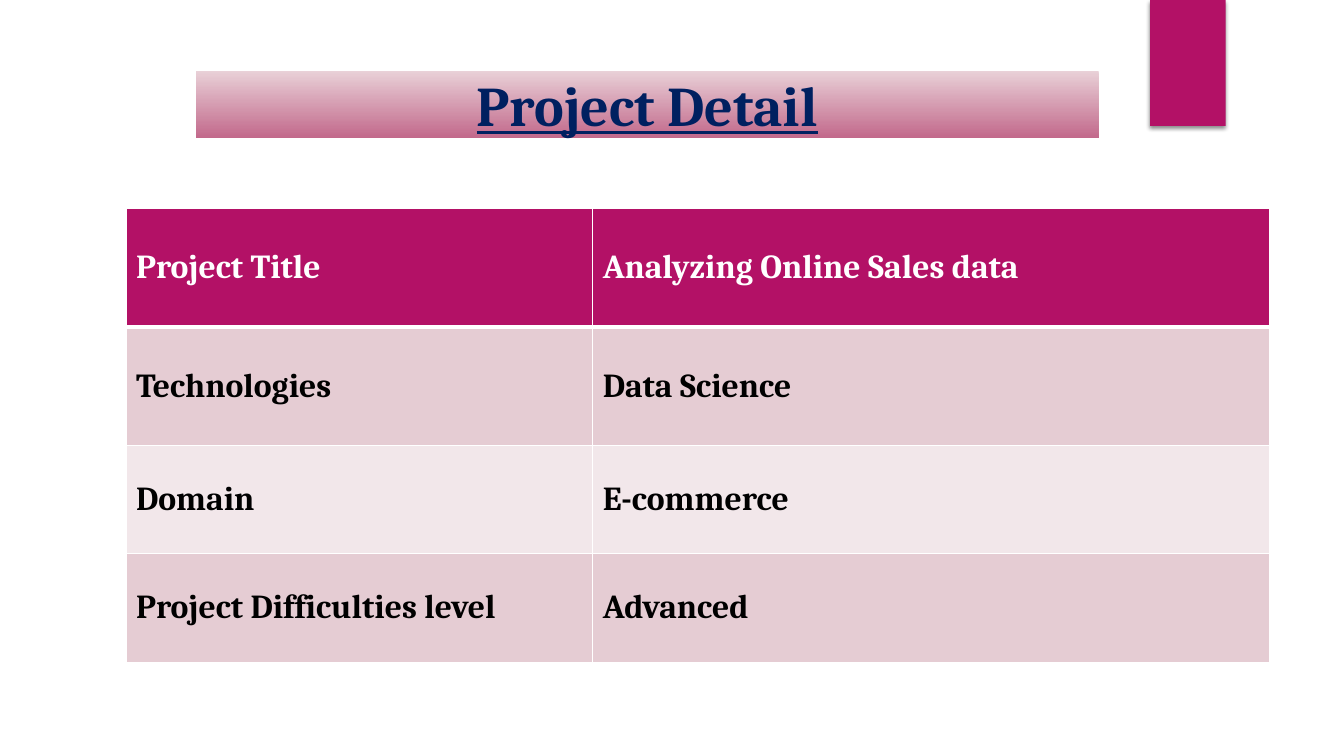
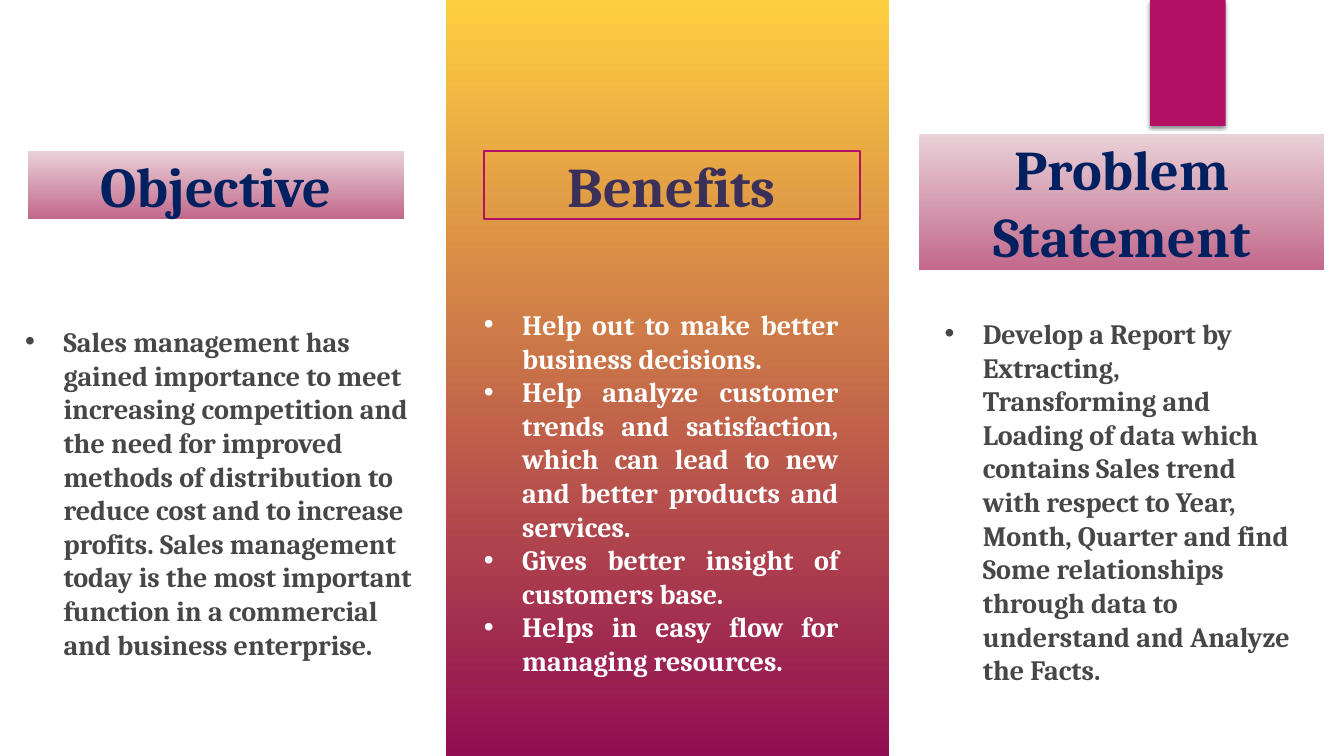
from dataclasses import dataclass
from itertools import product
from typing import Any, Optional

from lxml.etree import SubElement
from pptx import Presentation
from pptx.dml.color import RGBColor
from pptx.enum.shapes import MSO_SHAPE as Preset
from pptx.enum.text import MSO_ANCHOR as Anchor, PP_ALIGN as Align
from pptx.oxml.ns import qn
from pptx.util import Emu, Inches, Pt

MAGENTA = RGBColor(0xB3, 0x11, 0x66)
PLUM = RGBColor(0x90, 0x0E, 0x52)
GOLD = RGBColor(0xFE, 0xCF, 0x40)
BLUSH = RGBColor(0xE9, 0xD1, 0xD8)
ROSE = RGBColor(0xC2, 0x69, 0x8B)
ROW_DARK = RGBColor(0xE5, 0xCC, 0xD3)
ROW_LIGHT = RGBColor(0xF2, 0xE7, 0xEA)
NAVY = RGBColor(0x00, 0x20, 0x60)
INDIGO = RGBColor(0x3B, 0x30, 0x59)
GREY = RGBColor(0x47, 0x47, 0x47)
BLACK = RGBColor(0x00, 0x00, 0x00)
WHITE = RGBColor(0xFF, 0xFF, 0xFF)

SLIDE_WIDTH, SLIDE_HEIGHT = Inches(13.33), Inches(7.5)
COLUMNS, ROWS = 40, 30
BULLET_INDENT = Inches(0.38)

BASE_FONT = {"name": "Cambria", "bold": True}
HEADING_FONT = BASE_FONT | {"size": Pt(40)}
BODY_FONT = BASE_FONT | {"size": Pt(20)}
TABLE_FONT = BASE_FONT | {"size": Pt(24)}
FRAME_FORMAT = {
    "margin_left": 0, "margin_top": 0, "margin_right": 0, "margin_bottom": 0,
    "word_wrap": True, "vertical_anchor": Anchor.TOP,
}


@dataclass(frozen=True)
class Area:
    column: float
    row: float
    columns: float
    rows: float

    def box(self) -> tuple[Emu, Emu, Emu, Emu]:
        return across(self.column), down(self.row), across(self.columns), down(self.rows)


@dataclass(frozen=True)
class Heading:
    text: str
    area: Area
    color: RGBColor = NAVY
    underline: bool = False
    outlined: bool = False


@dataclass(frozen=True)
class BulletList:
    area: Area
    items: tuple[str, ...]
    color: RGBColor = GREY
    alignment: Align = Align.LEFT


TAB = Area(34.23, 0, 2.25, 5)
CENTER_PANEL = Area(13.26, 0, 13.2, 30)
DETAIL_HEADING = Heading("Project Detail", Area(5.82, 2.8, 26.88, 2.68), underline=True)
DETAIL_AREA = Area(3.75, 8.28, 34.05, 18)
DETAIL_COLUMNS = (13.89, 20.16)
DETAIL_ROWS = (4.7, 4.7, 4.3, 4.3)
DETAILS = (
    ("Project Title", "Analyzing Online Sales data"),
    ("Technologies", "Data Science"),
    ("Domain", "E-commerce"),
    ("Project Difficulties level", "Advanced"),
)
PANEL_HEADINGS = (
    Heading("Objective", Area(0.84, 6, 11.19, 2.68)),
    Heading("Benefits", Area(14.4, 6, 11.19, 2.68), INDIGO, outlined=True),
    Heading("Problem Statement", Area(27.36, 5.32, 12.06, 5.4)),
)
PANEL_LISTS = (
    BulletList(Area(0.75, 12.88, 11.61, 13.48), (
        "Sales management has gained importance to meet increasing competition and "
        "the need for improved methods of distribution to reduce cost and to increase "
        "profits. Sales management today is the most important function in a "
        "commercial and business enterprise.",
    )),
    BulletList(Area(14.4, 12.2, 10.56, 14.8), (
        "Help out to make better business decisions.",
        "Help analyze customer trends and satisfaction, which can lead to new and "
        "better products and services.",
        "Gives better insight of customers base.",
        "Helps in easy flow for managing resources.",
    ), WHITE, Align.JUSTIFY),
    BulletList(Area(28.11, 12.56, 10.56, 12.12), (
        "Develop a Report by Extracting, Transforming and Loading of data which "
        "contains Sales trend with respect to Year, Month, Quarter and find Some "
        "relationships through data to understand and Analyze the Facts.",
    )),
)


def across(columns: float) -> Emu:
    return Emu(round(SLIDE_WIDTH * columns / COLUMNS))


def down(rows: float) -> Emu:
    return Emu(round(SLIDE_HEIGHT * rows / ROWS))


def apply_format(target: Any, values: dict[str, Any]) -> None:
    for name, value in values.items():
        setattr(target, name, value)


def write(paragraph: Any, text: str, font: dict[str, Any], color: RGBColor) -> None:
    run = paragraph.add_run()
    run.text = text
    apply_format(run.font, font)
    run.font.color.rgb = color


def add_block(slide: Any, area: Area, color: Optional[RGBColor] = None) -> Any:
    shape = slide.shapes.add_shape(Preset.RECTANGLE, *area.box())
    shape.shadow.inherit = False
    shape.line.fill.background()
    if color is None:
        shape.fill.background()
    else:
        shape.fill.solid()
        shape.fill.fore_color.rgb = color
    return shape


def fill_downward(shape: Any, top: RGBColor, bottom: RGBColor) -> None:
    shape.fill.gradient()
    shape.fill.gradient_angle = 270
    for stop, position, color in zip(shape.fill.gradient_stops, (0, 1), (top, bottom)):
        stop.position = position
        stop.color.rgb = color


def add_tab(slide: Any) -> None:
    properties = add_block(slide, TAB, MAGENTA).element.spPr
    effects = properties.find(qn("a:effectLst"))
    shadow = SubElement(effects, qn("a:outerShdw"), blurRad=str(Pt(3)),
                        dist=str(Pt(2)), dir="5400000", rotWithShape="0")
    color = SubElement(shadow, qn("a:srgbClr"), val=str(BLACK))
    SubElement(color, qn("a:alpha"), val="45000")


def add_heading(slide: Any, heading: Heading) -> None:
    shape = add_block(slide, heading.area)
    if heading.outlined:
        shape.line.color.rgb = MAGENTA
        shape.line.width = Pt(1.5)
    else:
        fill_downward(shape, BLUSH, ROSE)
    apply_format(shape.text_frame, FRAME_FORMAT)
    paragraph = shape.text_frame.paragraphs[0]
    paragraph.alignment = Align.CENTER
    write(paragraph, heading.text, HEADING_FONT | {"underline": heading.underline}, heading.color)


def add_bullets(slide: Any, bullets: BulletList) -> None:
    frame = slide.shapes.add_textbox(*bullets.area.box()).text_frame
    apply_format(frame, FRAME_FORMAT)
    for index, item in enumerate(bullets.items):
        paragraph = frame.add_paragraph() if index else frame.paragraphs[0]
        paragraph.alignment = bullets.alignment
        properties = paragraph._p.get_or_add_pPr()
        properties.set("marL", str(BULLET_INDENT))
        properties.set("indent", str(-BULLET_INDENT))
        SubElement(properties, qn("a:buFont"), typeface="Arial")
        SubElement(properties, qn("a:buChar"), char="•")
        write(paragraph, item, BODY_FONT, bullets.color)


def add_borders(cell: Any, row: int) -> None:
    widths = {"lnL": 1, "lnR": 1, "lnT": 3 if row == 1 else 1, "lnB": 3 if row == 0 else 1}
    properties = cell._tc.get_or_add_tcPr()
    for side, width in widths.items():
        line = SubElement(properties, qn(f"a:{side}"), w=str(Pt(width)))
        SubElement(SubElement(line, qn("a:solidFill")), qn("a:srgbClr"), val=str(WHITE))


def add_detail_table(slide: Any) -> None:
    table = slide.shapes.add_table(len(DETAILS), len(DETAIL_COLUMNS), *DETAIL_AREA.box()).table
    for column, width in zip(table.columns, DETAIL_COLUMNS):
        column.width = across(width)
    for row, height in zip(table.rows, DETAIL_ROWS):
        row.height = down(height)
    for row, column in product(range(len(DETAILS)), range(len(DETAIL_COLUMNS))):
        cell = table.cell(row, column)
        add_borders(cell, row)
        cell.fill.solid()
        cell.fill.fore_color.rgb = MAGENTA if row == 0 else ROW_DARK if row % 2 else ROW_LIGHT
        cell.vertical_anchor = Anchor.MIDDLE
        write(cell.text_frame.paragraphs[0], DETAILS[row][column], TABLE_FONT,
              BLACK if row else WHITE)


def add_slide(presentation: Any) -> Any:
    slide = presentation.slides.add_slide(presentation.slide_layouts[6])
    add_tab(slide)
    return slide


def build_detail(presentation: Any) -> None:
    slide = add_slide(presentation)
    add_detail_table(slide)
    add_heading(slide, DETAIL_HEADING)


def build_panels(presentation: Any) -> None:
    slide = add_slide(presentation)
    fill_downward(add_block(slide, CENTER_PANEL), GOLD, PLUM)
    for heading, bullets in zip(PANEL_HEADINGS, PANEL_LISTS):
        add_heading(slide, heading)
        add_bullets(slide, bullets)


def main() -> None:
    presentation = Presentation()
    apply_format(presentation, {"slide_width": SLIDE_WIDTH, "slide_height": SLIDE_HEIGHT})
    build_detail(presentation)
    build_panels(presentation)
    presentation.save("out.pptx")


if __name__ == "__main__":
    main()
